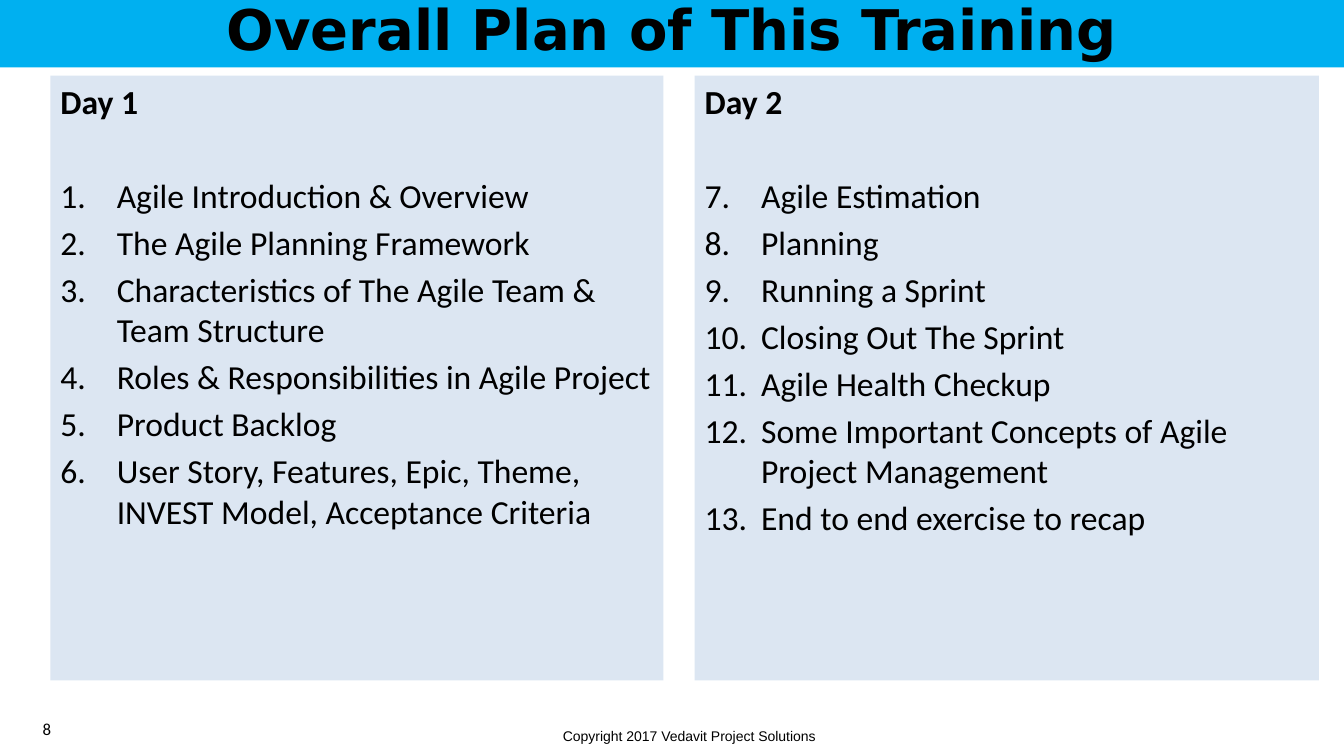
import pptx
import pptx.dml.color
import pptx.enum.shapes
import pptx.enum.text
import pptx.oxml.ns
import pptx.util
import lxml.etree

Inches = pptx.util.Inches
Pt = pptx.util.Pt
align = pptx.enum.text.PP_ALIGN
anchor = pptx.enum.text.MSO_ANCHOR


def paint(target, color):
    target.solid()
    target.fore_color.rgb = pptx.dml.color.RGBColor.from_string(color)


def write(frame, text, size=24, font="Calibri", bold=False, side=align.LEFT, gap=0, start=None):
    para = frame.paragraphs[0]
    if para.runs:
        para = frame.add_paragraph()
    para.alignment = side
    para.space_before = Pt(gap)
    if start:
        props = para._p.get_or_add_pPr()
        props.set("marL", str(Inches(0.56)))
        props.set("indent", str(-Inches(0.56)))
        mark = lxml.etree.SubElement(props, pptx.oxml.ns.qn("a:buAutoNum"))
        mark.set("type", "arabicPeriod")
        mark.set("startAt", str(start))
    run = para.add_run()
    run.text = text
    run.font.size = Pt(size)
    run.font.name = font
    run.font.bold = bold
    paint(run.font.fill, "000000")


deck = pptx.Presentation()
deck.slide_width = Inches(13.33)
deck.slide_height = Inches(7.5)
slide = deck.slides.add_slide(deck.slide_layouts[6])

days = [
    ("Day 1", 0.5, 6.08, 1, [
        "Agile Introduction & Overview",
        "The Agile Planning Framework",
        "Characteristics of The Agile Team & Team Structure",
        "Roles & Responsibilities in Agile Project",
        "Product Backlog",
        "User Story, Features, Epic, Theme, INVEST Model, Acceptance Criteria",
    ]),
    ("Day 2", 6.89, 6.19, 7, [
        "Agile Estimation",
        "Planning",
        "Running a Sprint",
        "Closing Out The Sprint",
        "Agile Health Checkup",
        "Some Important Concepts of Agile Project Management",
        "End to end exercise to recap",
    ]),
]

panels = [(0, 0, 13.33, 0.67, "00B0F0")]
panels += [(left, 0.75, width, 6, "DCE6F2") for _, left, width, _, _ in days]
frames = []
for left, top, width, height, color in panels:
    panel = slide.shapes.add_shape(
        pptx.enum.shapes.MSO_SHAPE.RECTANGLE,
        Inches(left), Inches(top), Inches(width), Inches(height))
    panel.shadow.inherit = False
    paint(panel.fill, color)
    panel.line.fill.background()
    frame = panel.text_frame
    frame.word_wrap = True
    frame.vertical_anchor = anchor.TOP
    frames.append(frame)

title = frames[0]
title.vertical_anchor = anchor.BOTTOM
title.margin_left = title.margin_right = Inches(0.06)
title.margin_top = title.margin_bottom = Inches(0.06)
write(title, "Overall Plan of This Training", size=40, font="DejaVu Sans", bold=True, side=align.CENTER)

for frame, (day, left, width, first, topics) in zip(frames[1:], days):
    write(frame, day, bold=True)
    for index, topic in enumerate(topics):
        write(frame, topic, gap=4.8 if index else 38.4, start=first)

notes = [
    ("Copyright 2017 Vedavit Project Solutions", 4.89, 7.17, 3.89, 0.25, 10, "Arial", anchor.TOP),
    ("8", 0.02, 7.03, 0.89, 0.4, 12, "Calibri", anchor.MIDDLE),
]
for text, left, top, width, height, size, font, place in notes:
    box = slide.shapes.add_textbox(Inches(left), Inches(top), Inches(width), Inches(height))
    box.text_frame.word_wrap = True
    box.text_frame.vertical_anchor = place
    write(box.text_frame, text, size=size, font=font, side=align.CENTER)

deck.save("out.pptx")
